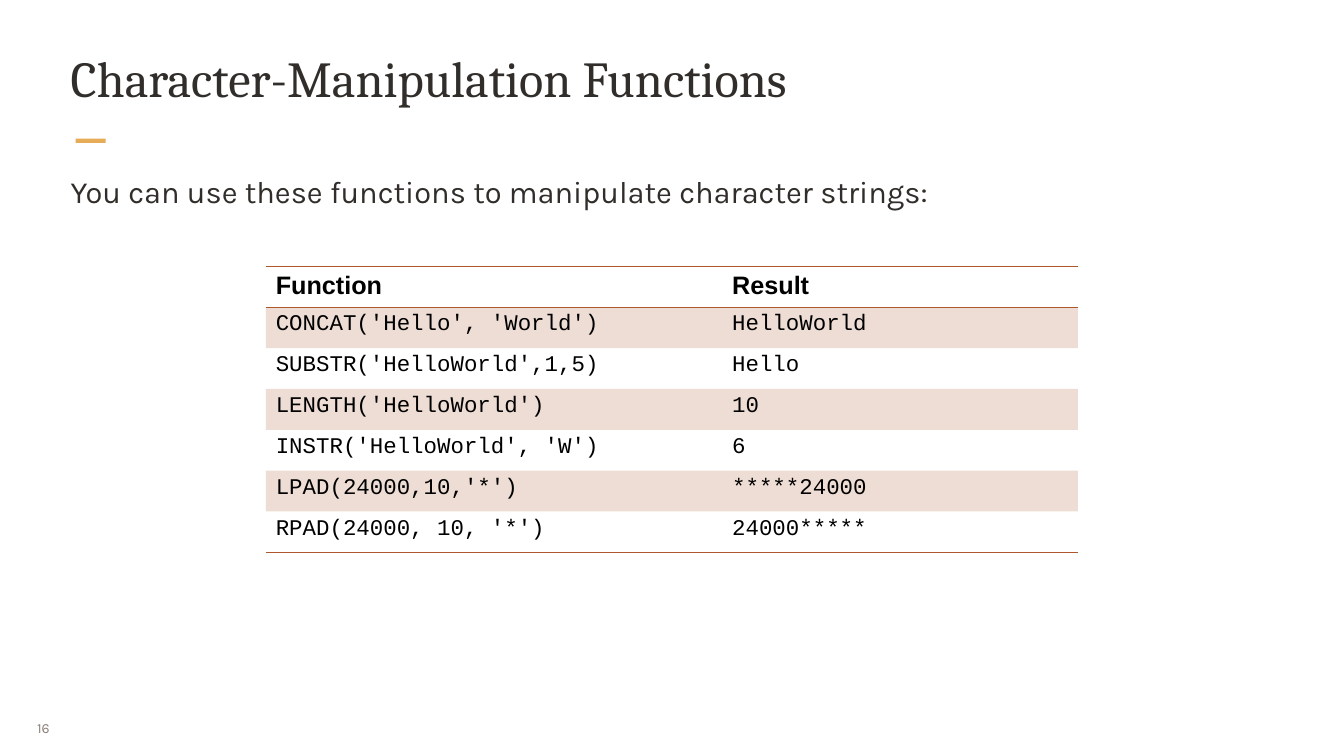
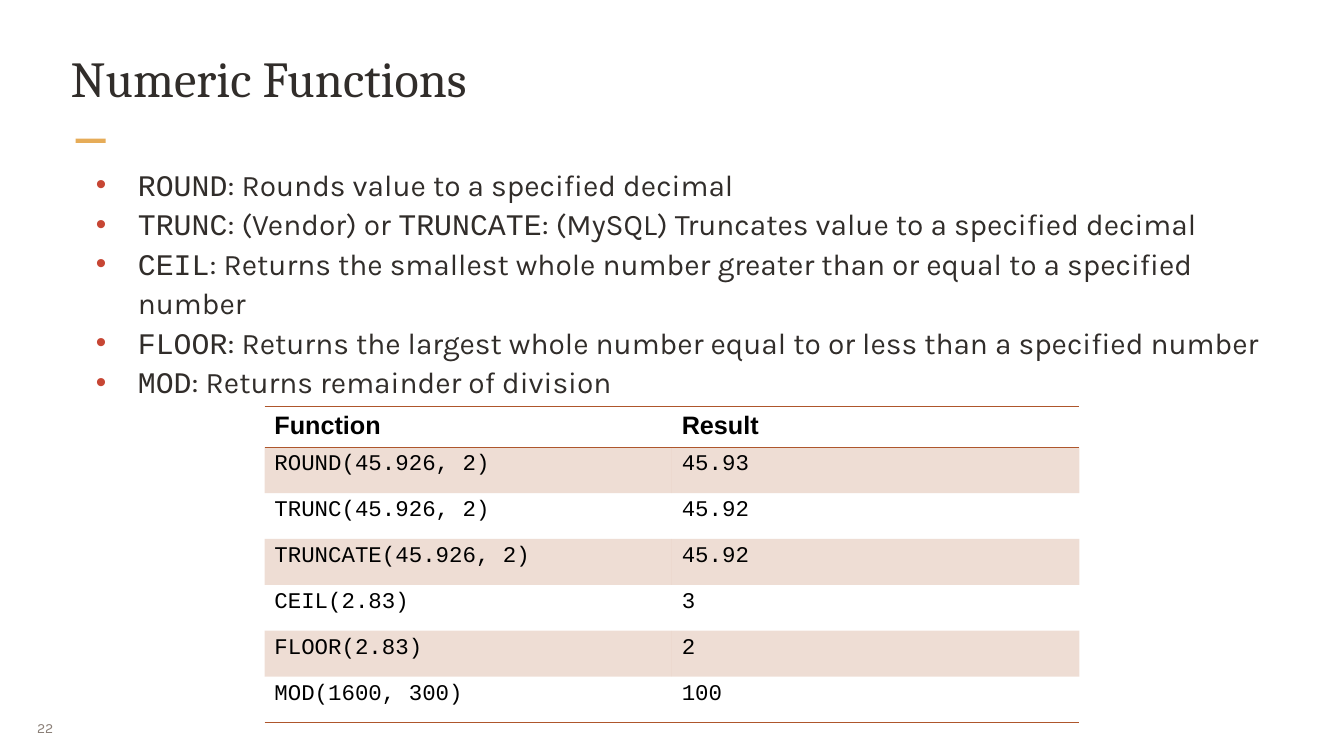
from dataclasses import dataclass
from itertools import cycle

from lxml.etree import SubElement
from pptx import Presentation
from pptx.dml.color import RGBColor
from pptx.enum.shapes import MSO_SHAPE
from pptx.enum.text import MSO_ANCHOR, MSO_AUTO_SIZE, PP_ALIGN
from pptx.oxml.ns import qn
from pptx.util import Emu, Pt

PX = 9525
PLAIN_TABLE = "{2D5ABB26-0587-4C30-8999-92F81FD0307C}"


@dataclass(frozen=True)
class Theme:
    """Colours, fonts and type sizes of the deck."""

    ink: str = "312D2A"
    code_ink: str = "000000"
    muted: str = "8B8078"
    accent: str = "E6AC58"
    bullet: str = "C74634"
    rule: str = "AE562C"
    band_alpha: int = 20000
    title_font: str = "Cambria"
    prose_font: str = "Karla"
    header_font: str = "Arial"
    code_font: str = "Courier New"
    title_size: int = 54
    lead_size: int = 33
    list_size: int = 32
    header_size: int = 27
    code_size: int = 24
    number_size: int = 15


def px(*lengths):
    """Turn pixel lengths into EMU."""
    return [Emu(length * PX) for length in lengths]


def write(frame, *paragraphs, fonts, size, color, bold=False,
          align=PP_ALIGN.LEFT, spacing=None, bullet=None):
    """Fill a text frame with paragraphs whose runs take the fonts in turn."""
    for index, pieces in enumerate(paragraphs):
        paragraph = frame.add_paragraph() if index else frame.paragraphs[0]
        paragraph.alignment = align
        if spacing:
            paragraph.line_spacing = spacing
        if bullet:
            add_bullet(paragraph, bullet)
        for piece, font in zip(pieces, cycle(fonts)):
            run = paragraph.add_run()
            run.text = piece
            run.font.name = font
            run.font.size = Pt(size)
            run.font.bold = bold
            run.font.color.rgb = RGBColor.from_string(color)


def add_bullet(paragraph, color):
    """Give a paragraph a hanging round bullet."""
    properties = paragraph._p.get_or_add_pPr()
    properties.set("marL", str(96 * PX))
    properties.set("indent", str(-60 * PX))
    tint = SubElement(properties, qn("a:buClr"))
    SubElement(tint, qn("a:srgbClr"), val=color)
    SubElement(properties, qn("a:buFont"), typeface="Arial")
    SubElement(properties, qn("a:buChar"), char="•")


def set_up(frame, side=3, end=3, wrap=True, anchor=MSO_ANCHOR.TOP,
           fit=MSO_AUTO_SIZE.NONE):
    """Set the insets, wrapping, anchor and fitting of a text frame."""
    frame.margin_left, frame.margin_right = px(side, side)
    frame.margin_top, frame.margin_bottom = px(end, end)
    frame.word_wrap = wrap
    frame.vertical_anchor = anchor
    frame.auto_size = fit


class Deck:
    """Hold the theme and the current slide, and draw each kind of element."""

    def __init__(self, theme):
        """Start an empty deck."""
        self.theme = theme
        self.presentation = Presentation()
        (self.presentation.slide_width,
         self.presentation.slide_height) = px(1920, 1080)
        self.slide = None

    def start_slide(self, heading, number):
        """Add a slide with its title, accent bar and page number."""
        theme = self.theme
        layout = self.presentation.slide_layouts[5]
        self.slide = self.presentation.slides.add_slide(layout)
        title = self.slide.shapes.title
        title.left, title.top, title.width, title.height = px(98, 64, 1724, 123)
        set_up(title.text_frame)
        write(title.text_frame, [heading], fonts=[theme.title_font],
              size=theme.title_size, color=theme.ink)
        self.accent_bar(108, 198, 43, 6)
        self.text((41, 1012, 62, 56), [str(number)], fonts=[theme.prose_font],
                  size=theme.number_size, color=theme.muted,
                  align=PP_ALIGN.JUSTIFY,
                  frame_style=dict(side=12, end=7, wrap=False,
                                   anchor=MSO_ANCHOR.MIDDLE))

    def accent_bar(self, *box):
        """Draw the short bar below the title."""
        bar = self.slide.shapes.add_shape(MSO_SHAPE.RECTANGLE, *px(*box))
        bar.shadow.inherit = False
        bar.fill.solid()
        bar.fill.fore_color.rgb = RGBColor.from_string(self.theme.accent)
        bar.line.fill.background()

    def text(self, box, *paragraphs, frame_style, **style):
        """Add a text box."""
        frame = self.slide.shapes.add_textbox(*px(*box)).text_frame
        set_up(frame, **frame_style)
        write(frame, *paragraphs, **style)

    def body(self, box, *paragraphs, **style):
        """Add the main text below the title."""
        self.text(box, *paragraphs, color=self.theme.ink, spacing=1.1,
                  frame_style=dict(fit=MSO_AUTO_SIZE.SHAPE_TO_FIT_TEXT), **style)

    def table(self, left, top, widths, height, calls, header_height=58):
        """Add a banded table of function calls and their results."""
        theme = self.theme
        rows = [("Function", "Result"), *calls]
        grid = self.slide.shapes.add_table(
            len(rows), len(widths), *px(left, top, sum(widths), height)).table
        grid.first_row = grid.horz_banding = False
        grid._tbl.tblPr.find(qn("a:tableStyleId")).text = PLAIN_TABLE
        for column, width in zip(grid.columns, px(*widths)):
            column.width = width
        call_height = Emu((height - header_height) * PX // len(calls))
        for index, entries in enumerate(rows):
            is_header = index == 0
            grid.rows[index].height = (
                px(header_height)[0] if is_header else call_height)
            sides = ("T", "B") if is_header else ()
            if index == len(calls):
                sides = ("B",)
            for column, entry in enumerate(entries):
                cell = grid.cell(index, column)
                cell.margin_left, cell.margin_right = px(14, 14)
                cell.margin_top, cell.margin_bottom = px(7, 7)
                self.cell_rules(cell, sides)
                self.cell_fill(cell, banded=index % 2 == 1)
                write(cell.text_frame, [entry], color=theme.code_ink,
                      fonts=[theme.header_font if is_header else theme.code_font],
                      size=theme.header_size if is_header else theme.code_size,
                      bold=is_header)

    def cell_rules(self, cell, sides):
        """Rule the given sides of a cell."""
        properties = cell._tc.get_or_add_tcPr()
        for side in sides:
            rule = SubElement(properties, qn(f"a:ln{side}"), w=str(Pt(1)))
            fill = SubElement(rule, qn("a:solidFill"))
            SubElement(fill, qn("a:srgbClr"), val=self.theme.rule)

    def cell_fill(self, cell, banded):
        """Tint a banded cell and leave any other clear."""
        if not banded:
            cell.fill.background()
            return
        cell.fill.solid()
        cell.fill.fore_color.rgb = RGBColor.from_string(self.theme.rule)
        tint = cell._tc.tcPr.find(f"{qn('a:solidFill')}/{qn('a:srgbClr')}")
        SubElement(tint, qn("a:alpha"), val=str(self.theme.band_alpha))


def character_functions(deck):
    """Build the slide on character functions."""
    theme = deck.theme
    deck.start_slide("Character-Manipulation Functions", 16)
    deck.body((98, 239, 1724, 60),
              ["You can use these functions to manipulate character strings:"],
              fonts=[theme.prose_font], size=theme.lead_size)
    deck.table(380, 381, (652, 508), 408, [
        ("CONCAT('Hello', 'World')", "HelloWorld"),
        ("SUBSTR('HelloWorld',1,5)", "Hello"),
        ("LENGTH('HelloWorld')", "10"),
        ("INSTR('HelloWorld', 'W')", "6"),
        ("LPAD(24000,10,'*')", "*****24000"),
        ("RPAD(24000, 10, '*')", "24000*****"),
    ])


def numeric_functions(deck):
    """Build the slide on numeric functions."""
    theme = deck.theme
    deck.start_slide("Numeric Functions", 22)
    deck.table(378, 581, (582, 582), 451, [
        ("ROUND(45.926, 2)", "45.93"),
        ("TRUNC(45.926, 2)", "45.92"),
        ("TRUNCATE(45.926, 2)", "45.92"),
        ("CEIL(2.83)", "3"),
        ("FLOOR(2.83)", "2"),
        ("MOD(1600, 300)", "100"),
    ])
    deck.body(
        (98, 230, 1724, 346),
        ["ROUND", ": Rounds value to a specified decimal"],
        ["TRUNC", ": (Vendor) or ", "TRUNCATE",
         ": (MySQL) Truncates value to a specified decimal"],
        ["CEIL", ": Returns the smallest whole number greater than "
         "or equal to a specified number"],
        ["FLOOR", ": Returns the largest whole number equal to "
         "or less than a specified number"],
        ["MOD", ": Returns remainder of division"],
        fonts=[theme.code_font, theme.prose_font],
        size=theme.list_size, bullet=theme.bullet)


def main():
    """Build and save the deck."""
    deck = Deck(Theme())
    character_functions(deck)
    numeric_functions(deck)
    deck.presentation.save("out.pptx")


if __name__ == "__main__":
    main()
